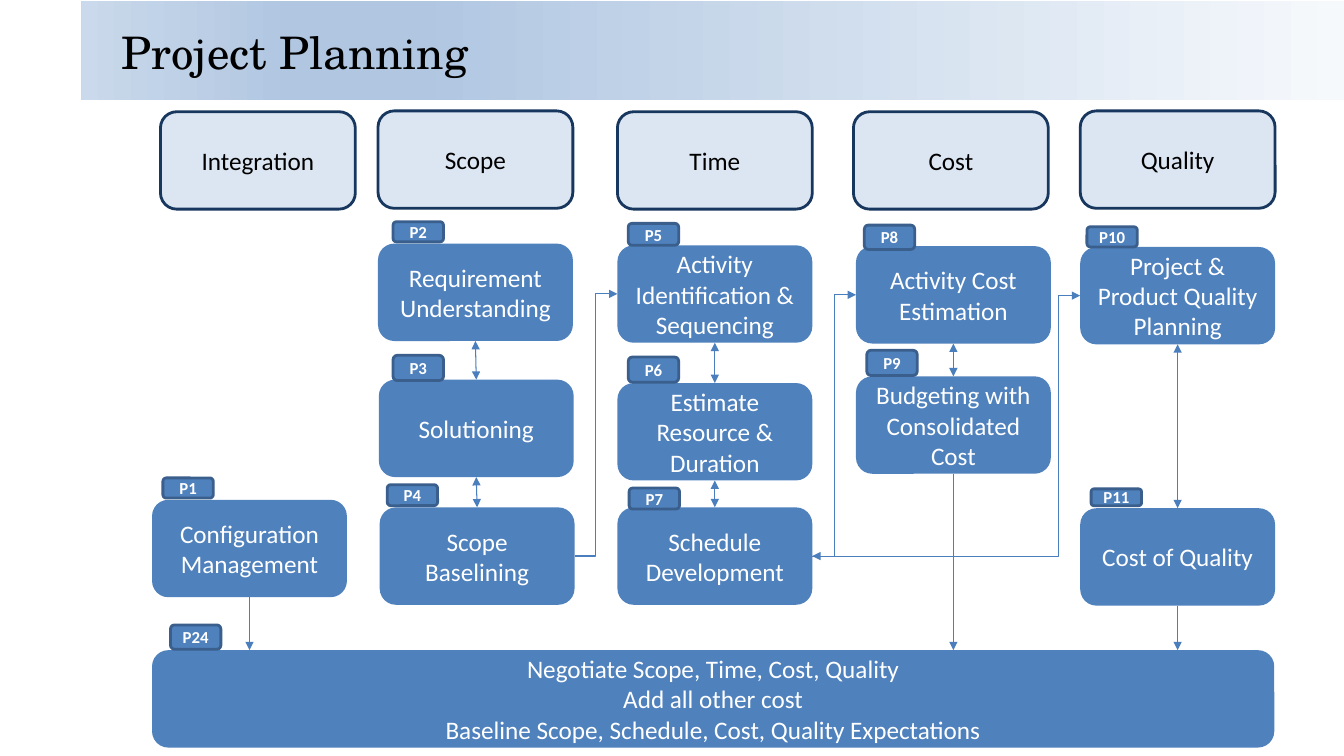
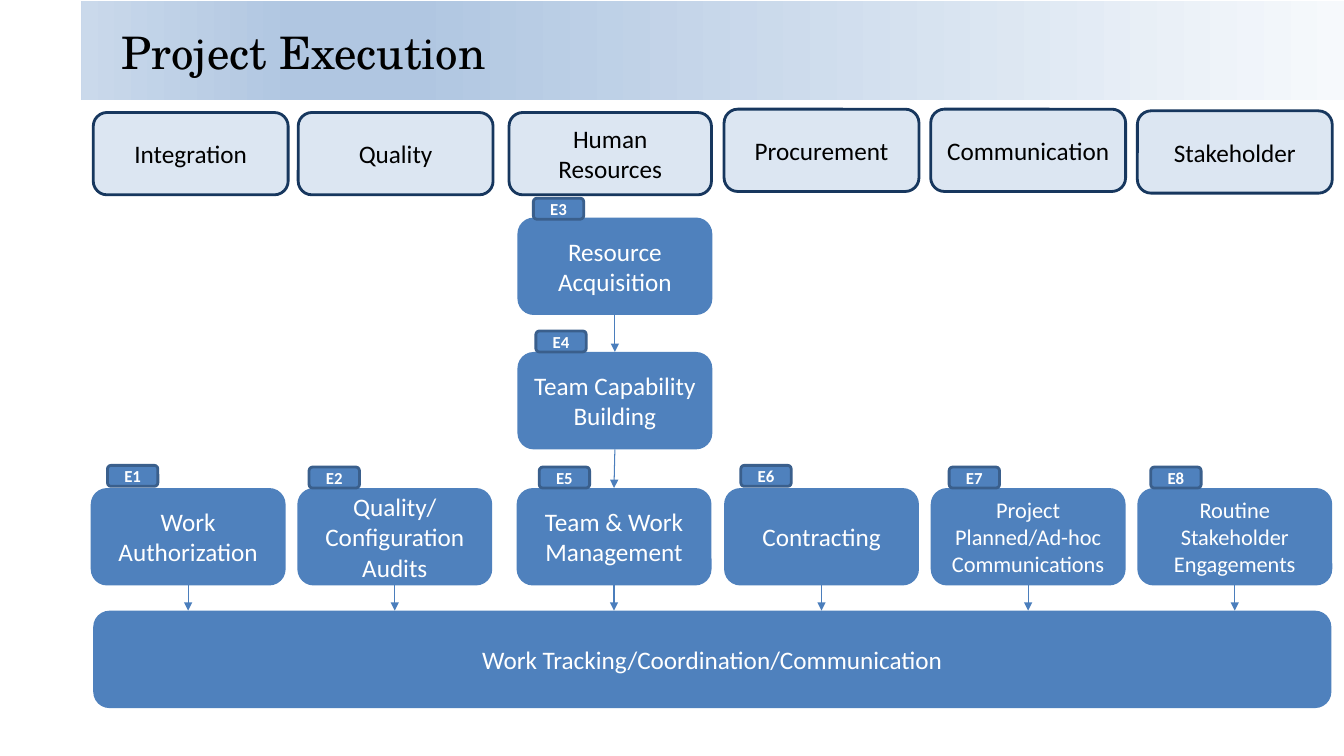
from dataclasses import dataclass

from lxml import etree
from pptx import Presentation
from pptx import util as u
from pptx.dml.color import RGBColor
from pptx.enum import shapes, text
from pptx.oxml.ns import qn

TOP, LEFT, BOTTOM, RIGHT = range(4)


@dataclass(frozen=True)
class Theme:
    ink: str = "000000"
    paper: str = "FFFFFF"
    header_fill: str = "DCE6F2"
    header_line: str = "17375E"
    card_fill: str = "4F81BD"
    tag_line: str = "3A5F8C"
    arrow: str = "4B7EBC"
    band: tuple = ((0, "F6F9FC"), (74, "B0C6E1"), (83, "B0C6E1"), (100, "CAD9EB"))
    title_font: str = "TeX Gyre Schola"
    body_font: str = "Calibri"
    title_size: int = 32
    body_size: int = 18
    dense_size: int = 16
    tag_size: int = 12
    border: float = 2
    hairline: float = 0.75


class Board:
    columns, rows = 160, 90
    card_width, card_height = 23.2, 11.6
    tag_width = 6

    def __init__(self, deck, theme):
        self.deck, self.theme, self.page = deck, theme, None

    def x(self, column):
        return round(self.deck.slide_width * column / self.columns)

    def y(self, row):
        return round(self.deck.slide_height * row / self.rows)

    def area(self, column, row, width, height):
        return self.x(column), self.y(row), self.x(width), self.y(height)

    def label(self, box, words, size, color, font=None, bold=False,
              align=text.PP_ALIGN.CENTER):
        frame = box.text_frame
        frame.word_wrap = True
        frame.vertical_anchor = text.MSO_ANCHOR.MIDDLE
        frame.text = words
        for para in frame.paragraphs:
            para.alignment = align
            for span in para.runs:
                span.font.name = font or self.theme.body_font
                span.font.size = u.Pt(size)
                span.font.bold = bold
                span.font.color.rgb = RGBColor.from_string(color)

    def open_page(self, title):
        self.page = self.deck.slides.add_slide(self.deck.slide_layouts[6])
        band = self.page.shapes.add_shape(
            shapes.MSO_SHAPE.RECTANGLE, *self.area(9.7, 0.1, 150.3, 11.8))
        band.shadow.inherit = False
        band.line.fill.background()
        band.fill.gradient()
        band.fill.gradient_angle = 180
        stops = band._element.spPr.find(qn("a:gradFill")).find(qn("a:gsLst"))
        for stop in list(stops):
            stops.remove(stop)
        for share, color in self.theme.band:
            stop = etree.SubElement(stops, qn("a:gs"), pos=str(share * 1000))
            etree.SubElement(stop, qn("a:srgbClr"), val=color)
        box = self.page.shapes.add_textbox(*self.area(13.3, 0.7, 141.4, 10.9))
        self.label(box, title, self.theme.title_size, self.theme.ink,
                   self.theme.title_font, align=text.PP_ALIGN.LEFT)

    def rounded(self, column, row, width, height, fill, line=None):
        box = self.page.shapes.add_shape(
            shapes.MSO_SHAPE.ROUNDED_RECTANGLE,
            *self.area(column, row, width, height))
        box.shadow.inherit = False
        box.fill.solid()
        box.fill.fore_color.rgb = RGBColor.from_string(fill)
        if line:
            box.line.color.rgb = RGBColor.from_string(line)
            box.line.width = u.Pt(self.theme.border)
        else:
            box.line.fill.background()
        return box

    def header(self, words, column, row, height, width=card_width):
        box = self.rounded(column, row, width, height,
                           self.theme.header_fill, self.theme.header_line)
        self.label(box, words, self.theme.body_size, self.theme.ink)

    def card(self, words, column, row, width=card_width, size=None):
        box = self.rounded(column, row, width, self.card_height, self.theme.card_fill)
        self.label(box, words, size or self.theme.body_size, self.theme.paper)
        return box

    def tag(self, words, column, row, height=2.5):
        box = self.rounded(column, row, self.tag_width, height,
                           self.theme.card_fill, self.theme.tag_line)
        self.label(box, words, self.theme.tag_size, self.theme.paper, bold=True)

    def arrow(self, start, start_side, end, end_side, both=False, bend=None):
        kind = shapes.MSO_CONNECTOR.STRAIGHT if bend is None else shapes.MSO_CONNECTOR.ELBOW
        link = self.page.shapes.add_connector(kind, 0, 0, 0, 0)
        link.begin_connect(start, start_side)
        link.end_connect(end, end_side)
        self.finish(link, both)
        if bend is not None:
            guides = link._element.spPr.find(qn("a:prstGeom")).get_or_add_avLst()
            etree.SubElement(guides, qn("a:gd"), name="adj1",
                             fmla=f"val {round(bend * 100000)}")

    def drop(self, box, target):
        middle = box.left + box.width // 2
        link = self.page.shapes.add_connector(
            shapes.MSO_CONNECTOR.STRAIGHT, middle, box.top + box.height,
            middle, target.top)
        link.begin_connect(box, BOTTOM)
        self.finish(link)

    def finish(self, link, both=False):
        link.line.color.rgb = RGBColor.from_string(self.theme.arrow)
        link.line.width = u.Pt(self.theme.hairline)
        line = link._element.spPr.find(qn("a:ln"))
        for end in ("a:headEnd", "a:tailEnd") if both else ("a:tailEnd",):
            etree.SubElement(line, qn(end), type="triangle")
        etree.SubElement(link._element.spPr, qn("a:effectLst"))


def planning(board):
    board.open_page("Project Planning")
    for words, column, row in (
            ("Integration", 19.1, 13.3), ("Scope", 45, 13.2), ("Time", 73.5, 13.3),
            ("Cost", 101.6, 13.3), ("Quality", 128.6, 13.2)):
        board.header(words, column, row, 11.6)

    steps = {}
    for name, words, column, row in (
            ("P1", "Configuration Management", 18.1, 59.5),
            ("P2", "Requirement\nUnderstanding", 45, 29),
            ("P3", "Solutioning", 45.1, 45.2),
            ("P4", "Scope Baselining", 45.2, 60.4),
            ("P5", "Activity Identification & Sequencing", 73.5, 29.2),
            ("P6", "Estimate\nResource & Duration", 73.5, 45.6),
            ("P7", "Schedule Development", 73.5, 60.4),
            ("P8", "Activity Cost\nEstimation", 101.9, 29.3),
            ("P9", "Budgeting with Consolidated Cost", 101.9, 44.8),
            ("P10", "Project & Product Quality Planning", 128.6, 29.4),
            ("P11", "Cost of Quality", 128.6, 60.5)):
        steps[name] = board.card(words, column, row)
    baseline = board.card(
        "Negotiate Scope, Time, Cost, Quality\nAdd all other cost\n"
        "Baseline Scope, Schedule, Cost, Quality Expectations", 18.1, 77.4, 133.6)

    for upper, lower in (("P2", "P3"), ("P3", "P4"), ("P5", "P6"),
                         ("P6", "P7"), ("P8", "P9"), ("P10", "P11")):
        board.arrow(steps[upper], BOTTOM, steps[lower], TOP, both=True)
    for start, end in (("P4", "P5"), ("P7", "P8")):
        board.arrow(steps[start], RIGHT, steps[end], LEFT, bend=0.5)
    board.arrow(steps["P10"], LEFT, steps["P7"], RIGHT, both=True, bend=0.08)
    for name in ("P1", "P9", "P11"):
        board.drop(steps[name], baseline)

    for words, column, row, height in (
            ("P1", 19.4, 56.9, 2.4), ("P2", 46.8, 26.4, 2.4),
            ("P3", 46.8, 42.3, 3), ("P4", 46.1, 57.7, 2.5),
            ("P5", 74.8, 26.6, 2.6), ("P6", 74.8, 42.5, 3),
            ("P7", 74.9, 58.1, 2.5), ("P8", 102.9, 26.8, 2.9),
            ("P9", 103.2, 41.7, 3), ("P10", 129.4, 27, 2.4),
            ("P11", 129.9, 58.2, 2), ("P24", 20.3, 74.4, 2.9)):
        board.tag(words, column, row, height)


def execution(board):
    board.open_page("Project Execution")
    for words, column, row, width in (
            ("Integration", 11.1, 13.4, 23.2), ("Quality", 35.5, 13.4, 23.2),
            ("Human Resources", 60.6, 13.4, 24.1), ("Procurement", 86.2, 13, 23.2),
            ("Communication", 110.8, 13, 23.2), ("Stakeholder", 135.4, 13.2, 23.2)):
        board.header(words, column, row, 9.8, width)

    tracking = board.card("Work Tracking/Coordination/Communication", 11.1, 72.7, 147.4)
    dense = board.theme.dense_size
    activities = [
        board.card(words, column, 58.1, size=size)
        for words, column, size in (
            ("Work Authorization", 10.8, None),
            ("Quality/Configuration Audits", 35.4, None),
            ("Team & Work Management", 61.5, None),
            ("Contracting", 86.2, None),
            ("Project Planned/Ad-hoc Communications", 110.8, dense),
            ("Routine Stakeholder Engagements", 135.4, dense))]
    for activity in activities:
        board.drop(activity, tracking)

    acquisition = board.card("Resource Acquisition", 61.6, 25.9)
    building = board.card("Team Capability Building", 61.6, 41.9)
    board.arrow(acquisition, BOTTOM, building, TOP)
    board.arrow(building, BOTTOM, activities[2], TOP)

    for words, column, row in (
            ("E1", 12.8, 55.4), ("E2", 36.8, 55.6), ("E3", 63.5, 23.6),
            ("E4", 63.8, 39.4), ("E5", 64.2, 55.6), ("E6", 88.2, 55.4),
            ("E7", 113, 55.6), ("E8", 137, 55.6)):
        board.tag(words, column, row)


def main():
    deck = Presentation()
    deck.slide_width, deck.slide_height = u.Pt(960), u.Pt(540)
    board = Board(deck, Theme())
    planning(board)
    execution(board)
    deck.save("out.pptx")


if __name__ == "__main__":
    main()
